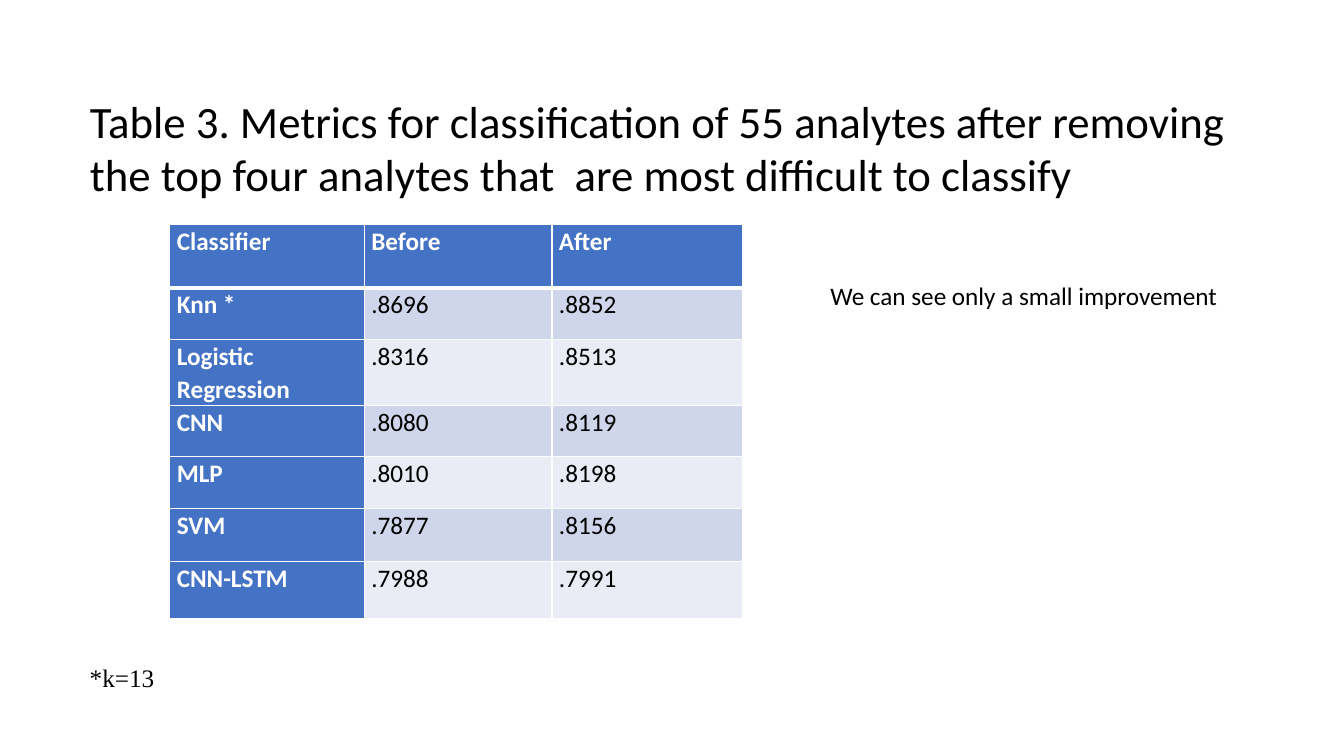
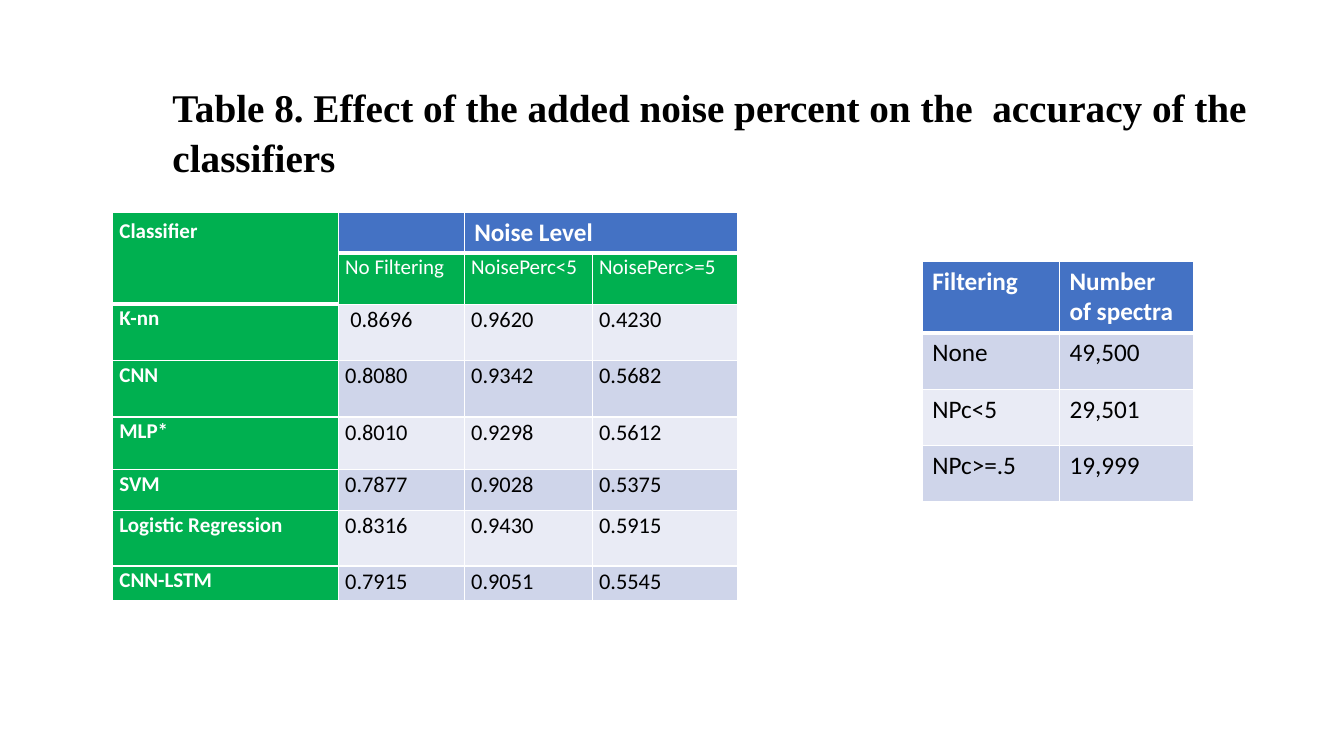
import dataclasses
import typing

import pptx
import pptx.dml.color
import pptx.enum.text
import pptx.oxml
import pptx.oxml.ns
import pptx.util

Pt = pptx.util.Pt
RGBColor = pptx.dml.color.RGBColor
ALIGN = pptx.enum.text.PP_ALIGN
ANCHOR = pptx.enum.text.MSO_ANCHOR

BLACK = RGBColor(0x00, 0x00, 0x00)
WHITE = RGBColor(0xFF, 0xFF, 0xFF)
BLUE = RGBColor(0x44, 0x72, 0xC4)
GREEN = RGBColor(0x00, 0xB0, 0x50)
BANDS = (RGBColor(0xE9, 0xEB, 0xF5), RGBColor(0xCF, 0xD5, 0xEA))

SANS = "Calibri"
SERIF = "Times New Roman"
TITLE_ONLY = 5

JUSTIFIED = {"alignment": ALIGN.JUSTIFY, "line_spacing": 1.07}
COMPACT_MARGINS = {
    "margin_left": Pt(5), "margin_right": Pt(5),
    "margin_top": Pt(0), "margin_bottom": Pt(0),
}


@dataclasses.dataclass
class CellStyle:
    """Look of a cell; without a fill it takes the band colour of its row."""
    size: int = 18
    color: RGBColor = BLACK
    bold: bool = False
    fill: typing.Optional[RGBColor] = None
    compact: bool = True


BLUE_HEADER = CellStyle(color=WHITE, bold=True, fill=BLUE)
WIDE_HEADER = dataclasses.replace(BLUE_HEADER, compact=False)
GREEN_HEADER = CellStyle(15, WHITE, fill=GREEN)
GREEN_LABEL = dataclasses.replace(GREEN_HEADER, bold=True)


def apply_format(target, values):
    for name, value in values.items():
        setattr(target, name, value)


def write_text(text_frame, text, size, font=SANS, color=BLACK, bold=False,
               paragraph_format=None):
    text_frame.text = text
    paragraph = text_frame.paragraphs[0]
    apply_format(paragraph, paragraph_format or {})
    apply_format(paragraph.font, {"name": font, "size": Pt(size), "bold": bold})
    paragraph.font.color.rgb = color


def place(shape, left, top, width, height):
    apply_format(shape, {"left": Pt(left), "top": Pt(top),
                         "width": Pt(width), "height": Pt(height)})


def add_titled_slide(presentation, title, box, anchor, line_spacing, **text_format):
    slide = presentation.slides.add_slide(presentation.slide_layouts[TITLE_ONLY])
    shape = slide.shapes.title
    place(shape, *box)
    write_text(shape.text_frame, title, paragraph_format={
        "alignment": ALIGN.LEFT, "line_spacing": line_spacing}, **text_format)
    apply_format(shape.text_frame, {
        "vertical_anchor": anchor, "word_wrap": True,
        "auto_size": pptx.enum.text.MSO_AUTO_SIZE.NONE})
    return slide


def add_note(slide, text, box, **text_format):
    shape = slide.shapes.add_textbox(*map(Pt, box))
    shape.text_frame.word_wrap = True
    write_text(shape.text_frame, text, 18, **text_format)


def add_borders(cell, widths):
    """Draw white borders; widths maps a side (L, R, T, B) to points."""
    properties = cell._tc.get_or_add_tcPr()
    namespace = pptx.oxml.ns.nsdecls("a")
    for side, width in widths.items():
        properties.append(pptx.oxml.parse_xml(
            f'<a:ln{side} {namespace} w="{Pt(width)}"><a:solidFill>'
            f'<a:srgbClr val="{WHITE}"/></a:solidFill></a:ln{side}>'))


def style_cell(cell, text, style, band):
    if style.compact:
        apply_format(cell, COMPACT_MARGINS)
    write_text(cell.text_frame, text, style.size, color=style.color,
               bold=style.bold, paragraph_format=JUSTIFIED if style.compact else None)
    cell.fill.solid()
    cell.fill.fore_color.rgb = style.fill or band


def add_banded_table(slide, left, top, widths, heights, rows, headers,
                     value_style, label_style=None, merges=()):
    """Add a table; headers holds one style for each header row."""
    table = slide.shapes.add_table(
        len(rows), len(widths), Pt(left), Pt(top),
        Pt(sum(widths)), Pt(sum(heights))).table
    for column, width in zip(table.columns, widths):
        column.width = Pt(width)
    for row, height in zip(table.rows, heights):
        row.height = Pt(height)
    for first, last in merges:
        table.cell(*first).merge(table.cell(*last))

    def rule_below(row, column):
        is_header = row == 0 or row > 0 and table.cell(row, column).is_spanned
        return 3 if is_header else 1

    for row, texts in enumerate(rows):
        for column, text in enumerate(texts):
            style = headers[row] if row < len(headers) else value_style
            if column == 0 and label_style:
                style = label_style
            cell = table.cell(row, column)
            add_borders(cell, {"L": 1, "R": 1, "T": rule_below(row - 1, column),
                               "B": rule_below(row, column)})
            style_cell(cell, text, style, BANDS[row % 2])
    return table


def build_removal_slide(presentation):
    slide = add_titled_slide(
        presentation,
        "Table 3. Metrics for classification of 55 analytes after removing "
        " the top four analytes that  are most difficult to classify",
        (57, 62.6, 838.8, 85), ANCHOR.MIDDLE, 1.0, size=32)
    add_banded_table(
        slide, 121.3, 160.5, (139, 134, 136), (45, 37, 46.5, 36.5, 37, 38, 41),
        (("Classifier", "Before", "After"),
         ("Knn *", ".8696", ".8852"),
         ("Logistic Regression", ".8316", ".8513"),
         ("CNN", ".8080", ".8119"),
         ("MLP", ".8010", ".8198"),
         ("SVM", ".7877", ".8156"),
         ("CNN-LSTM", ".7988", ".7991")),
        [BLUE_HEADER], CellStyle(), BLUE_HEADER)
    add_note(slide, "*k=13", (57, 468, 646.6, 52.6), font=SERIF,
             paragraph_format=JUSTIFIED)
    add_note(slide, "We can see only a small improvement", (586, 196.6, 316, 29))


def build_noise_slide(presentation):
    slide = add_titled_slide(
        presentation,
        "Table 8. Effect of the added noise percent on the  accuracy of the classifiers",
        (116, 54, 794, 75), ANCHOR.TOP, 1.06, size=28, font=SERIF, bold=True)
    accuracy_table = add_banded_table(
        slide, 80.3, 151.4, (161.3, 90, 91.4, 103.7),
        (28.8, 36.7, 40.3, 40.3, 37.4, 29.5, 39.6, 24.5),
        (("Classifier", "", "Noise Level", ""),
         ("", "No Filtering", "NoisePerc<5", "NoisePerc>=5"),
         ("K-nn", " 0.8696", "0.9620", "0.4230"),
         ("CNN", "0.8080", "0.9342", "0.5682"),
         ("MLP*", "0.8010", "0.9298", "0.5612"),
         ("SVM", "0.7877", "0.9028", "0.5375"),
         ("Logistic Regression", "0.8316", "0.9430", "0.5915"),
         ("CNN-LSTM", "0.7915", "0.9051", "0.5545")),
        [WIDE_HEADER, GREEN_HEADER], CellStyle(16), GREEN_LABEL,
        merges=(((0, 0), (1, 0)), ((0, 2), (0, 3))))
    accuracy_table.cell(0, 0).margin_top = Pt(3.6)
    add_banded_table(
        slide, 658.8, 186.5, (98, 95.8), (50, 40.3, 40.3, 40.3),
        (("Filtering", "Number  of spectra"),
         ("None", "49,500"),
         ("NPc<5", "29,501"),
         ("NPc>=.5", "19,999")),
        [WIDE_HEADER], CellStyle(compact=False))


def main():
    presentation = pptx.Presentation()
    apply_format(presentation, {"slide_width": Pt(960), "slide_height": Pt(540)})
    build_removal_slide(presentation)
    build_noise_slide(presentation)
    presentation.save("out.pptx")


if __name__ == "__main__":
    main()
